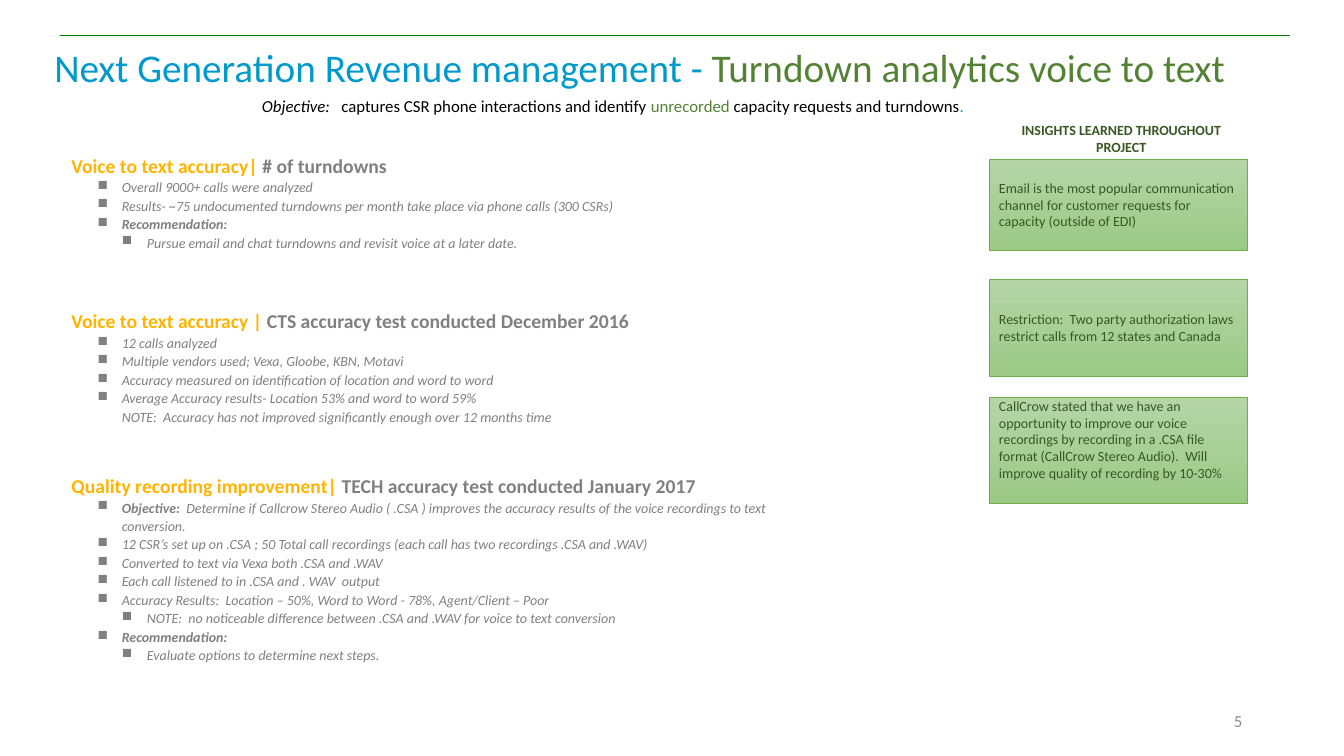
"""Build the slide on voice to text turndown analytics."""
from lxml import etree
from pptx import Presentation, util as u
from pptx.dml.color import RGBColor
from pptx.enum import shapes, text
from pptx.oxml import ns

COLORS = {
    "rule": "008000", "blue": "0099CC", "green": "548235", "black": "000000",
    "amber": "FFB400", "gray": "808080", "number": "8C8C8C", "dark": "385723",
    "top": "B5D5A7", "bottom": "9CC987", "border": "70AD47",
}
BOLD = {"bold": True}
ITALIC = {"italic": True}
LEVELS = {
    "bullet": {"level": 1, "left": 0.75, "hanging": -0.24},
    "sub": {"level": 2, "left": 1, "hanging": -0.25},
    "note": {"level": 2, "left": 0.75, "hanging": 0},
}
SECTIONS = [
    (0, "Voice to text accuracy| ", "# of turndowns", [
        ("bullet", "", "Overall 9000+ calls were analyzed"),
        ("bullet", "", "Results- ~75 undocumented turndowns per month take place via phone calls (300 CSRs)"),
        ("bullet", "Recommendation:", ""),
        ("sub", "", "Pursue email and chat turndowns and revisit voice at a later date."),
    ]),
    (40, "Voice to text accuracy | ", "CTS accuracy test conducted December 2016", [
        ("bullet", "", "12 calls analyzed"),
        ("bullet", "", "Multiple vendors used; Vexa, Gloobe, KBN, Motavi"),
        ("bullet", "", "Accuracy measured on identification of location and word to word"),
        ("bullet", "", "Average Accuracy results- Location 53% and word to word 59%"),
        ("note", "", "NOTE:  Accuracy has not improved significantly enough over 12 months time"),
    ]),
    (33, "Quality recording improvement| ", "TECH accuracy test conducted January 2017", [
        ("bullet", "Objective:  ", "Determine if Callcrow Stereo Audio ( .CSA ) improves the accuracy "
                                   "results of the voice recordings to text conversion."),
        ("bullet", "", "12 CSR’s set up on .CSA ; 50 Total call recordings "
                       "(each call has two recordings .CSA and .WAV)"),
        ("bullet", "", "Converted to text via Vexa both .CSA and .WAV"),
        ("bullet", "", "Each call listened to in .CSA and . WAV  output"),
        ("bullet", "", "Accuracy Results:  Location – 50%, Word to Word - 78%, Agent/Client – Poor"),
        ("sub", "", "NOTE:  no noticeable difference between .CSA and .WAV for voice to text conversion"),
        ("bullet", "Recommendation:", ""),
        ("sub", "", "Evaluate options to determine next steps."),
    ]),
]
INSIGHTS = [
    (0.42, 0.9, {}, "Email is the most popular communication channel for customer requests for "
                    "capacity (outside of EDI)"),
    (1.61, 0.96, {}, "Restriction:  Two party authorization laws restrict calls from 12 states and Canada"),
    (2.78, 1.05, {"vertical_anchor": text.MSO_ANCHOR.TOP, "margin_top": 0},
     "CallCrow stated that we have an opportunity to improve our voice recordings by recording in a "
     ".CSA file format (CallCrow Stereo Audio).  Will improve quality of recording by 10-30%"),
]


def color(name):
    """Return the named palette colour."""
    return RGBColor.from_string(COLORS[name])


def apply(target, values):
    """Set each attribute in values on the target."""
    for name, value in values.items():
        setattr(target, name, value)


def add_runs(paragraph, size, runs):
    """Add runs given as wording, colour name and font values."""
    for wording, color_name, values in runs:
        run = paragraph.add_run()
        run.text = wording
        apply(run.font, {"name": "Calibri", "size": u.Pt(size), **values})
        run.font.color.rgb = color(color_name)


def add_text(slide, box, size=10, runs=(), anchor=text.MSO_ANCHOR.TOP, **values):
    """Add a wrapping text box and return its frame."""
    frame = slide.shapes.add_textbox(*map(u.Inches, box)).text_frame
    apply(frame, {"word_wrap": True, "vertical_anchor": anchor})
    apply(frame.paragraphs[0], values)
    add_runs(frame.paragraphs[0], size, runs)
    return frame


def indent(paragraph, left, hanging=0, bullet=""):
    """Set the indents of a paragraph and its square bullet."""
    properties = paragraph._p.get_or_add_pPr()
    properties.set("marL", str(u.Inches(left)))
    properties.set("indent", str(u.Inches(hanging)))
    if bullet:
        etree.SubElement(properties, ns.qn("a:buChar")).set("char", bullet)


def add_header(slide, box):
    """Place the rule, title and objective."""
    left, top, width, height = box
    rule = slide.shapes.add_connector(
        shapes.MSO_CONNECTOR.STRAIGHT,
        *map(u.Inches, (left + 0.16, top, left + width + 0.01, top)))
    rule.line.width = u.Pt(0.5)
    rule.line.color.rgb = color("rule")
    etree.SubElement(rule._element.spPr, ns.qn("a:effectLst"))
    add_text(slide, (left, top + 0.01, width, 0.66), 28, [
        ("Next Generation Revenue management - ", "blue", {}),
        ("Turndown analytics voice to text", "green", {}),
    ], text.MSO_ANCHOR.MIDDLE, line_spacing=0.9)
    add_text(slide, (left + 2.06, top + 0.55, 9.48, height - 0.55), 12, [
        ("Objective:   ", "black", ITALIC),
        ("captures CSR phone interactions and identify ", "black", {}),
        ("unrecorded ", "green", {}),
        ("capacity requests and turndowns", "black", {}),
        (".", "blue", {}),
    ])


def add_findings(slide, box):
    """Place the three sections of findings in one text box."""
    frame = add_text(slide, box)
    paragraph = frame.paragraphs[0]
    for space, topic, detail, items in SECTIONS:
        if space:
            paragraph = frame.add_paragraph()
        apply(paragraph, {"line_spacing": 1.1, "space_before": u.Pt(space)})
        indent(paragraph, 0.25)
        add_runs(paragraph, 14, [(topic, "amber", BOLD), (detail, "gray", BOLD)])
        for kind, label, wording in items:
            level = LEVELS[kind]
            paragraph = frame.add_paragraph()
            apply(paragraph, {"line_spacing": 1.1, "level": level["level"]})
            indent(paragraph, level["left"], level["hanging"], "■" if level["hanging"] else "")
            runs = [(label, "gray", {**BOLD, **ITALIC}), (wording, "gray", ITALIC)]
            add_runs(paragraph, 10, [run for run in runs if run[0]])


def add_insights(slide, box):
    """Place the insights heading and the green cards below it."""
    left, top, width, _ = box
    add_text(slide, (left, top, width + 0.06, 0.27), 10,
             [("INSIGHTS LEARNED THROUGHOUT PROJECT", "dark", BOLD)],
             alignment=text.PP_ALIGN.CENTER)
    for offset, height, values, wording in INSIGHTS:
        card = slide.shapes.add_shape(
            shapes.MSO_SHAPE.RECTANGLE, *map(u.Inches, (left, top + offset, width, height)))
        card.shadow.inherit = False
        card.fill.gradient()
        card.fill.gradient_angle = 270
        for stop, name in zip(card.fill.gradient_stops, ("top", "bottom")):
            stop.color.rgb = color(name)
        card.line.width = u.Pt(0.5)
        card.line.color.rgb = color("border")
        frame = card.text_frame
        apply(frame, {"word_wrap": True, "vertical_anchor": text.MSO_ANCHOR.MIDDLE, **values})
        apply(frame.paragraphs[0], {"alignment": text.PP_ALIGN.LEFT, "space_after": u.Pt(3)})
        add_runs(frame.paragraphs[0], 10, [(wording, "dark", {})])


def add_slide_number(slide, box):
    """Place the slide number."""
    add_text(slide, box, 12, [("5", "number", {})], text.MSO_ANCHOR.MIDDLE,
             alignment=text.PP_ALIGN.RIGHT)


def main():
    """Build and save the presentation."""
    presentation = Presentation()
    apply(presentation, {"slide_width": u.Inches(13.33), "slide_height": u.Inches(7.5)})
    slide = presentation.slides.add_slide(presentation.slide_layouts[6])
    add_header(slide, (0.44, 0.35, 12.34, 1.11))
    add_findings(slide, (0.36, 1.45, 7.4, 5.37))
    add_insights(slide, (9.81, 1.16, 2.56, 3.83))
    add_slide_number(slide, (9.42, 6.95, 3, 0.4))
    presentation.save("out.pptx")


if __name__ == "__main__":
    main()
